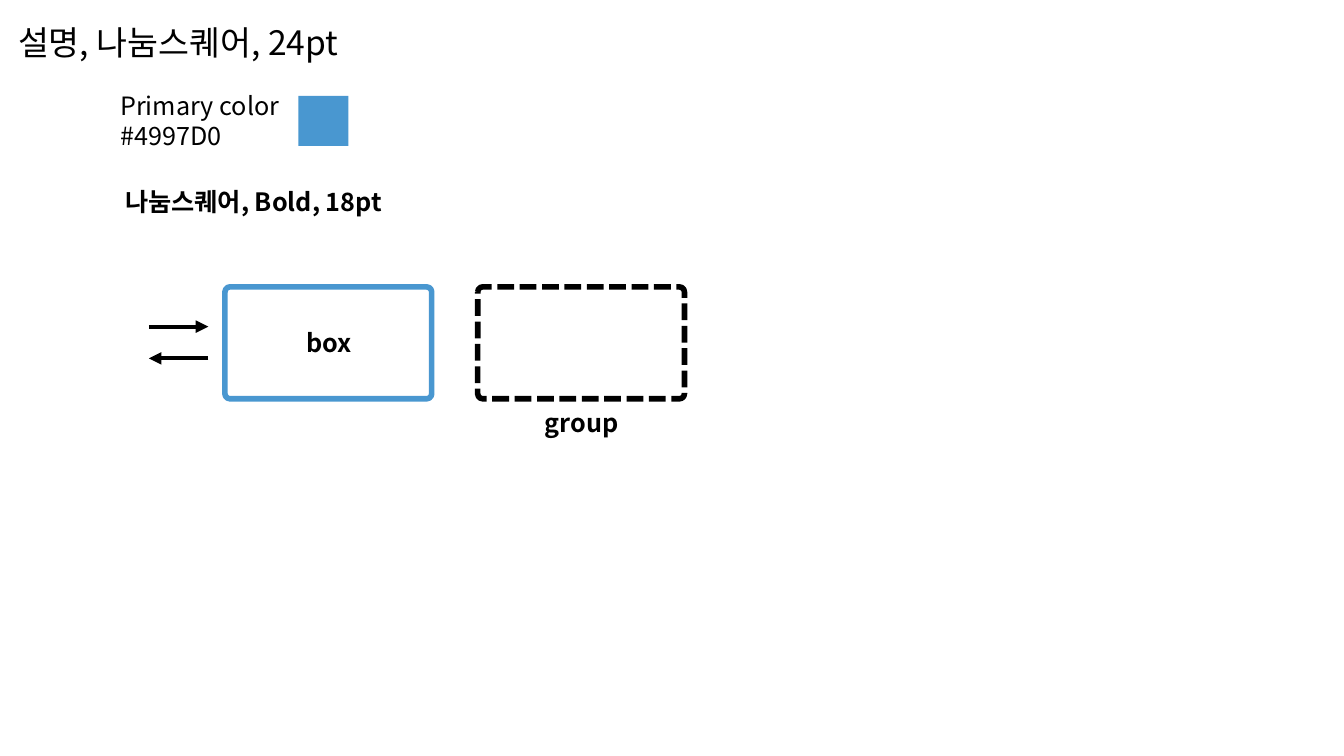
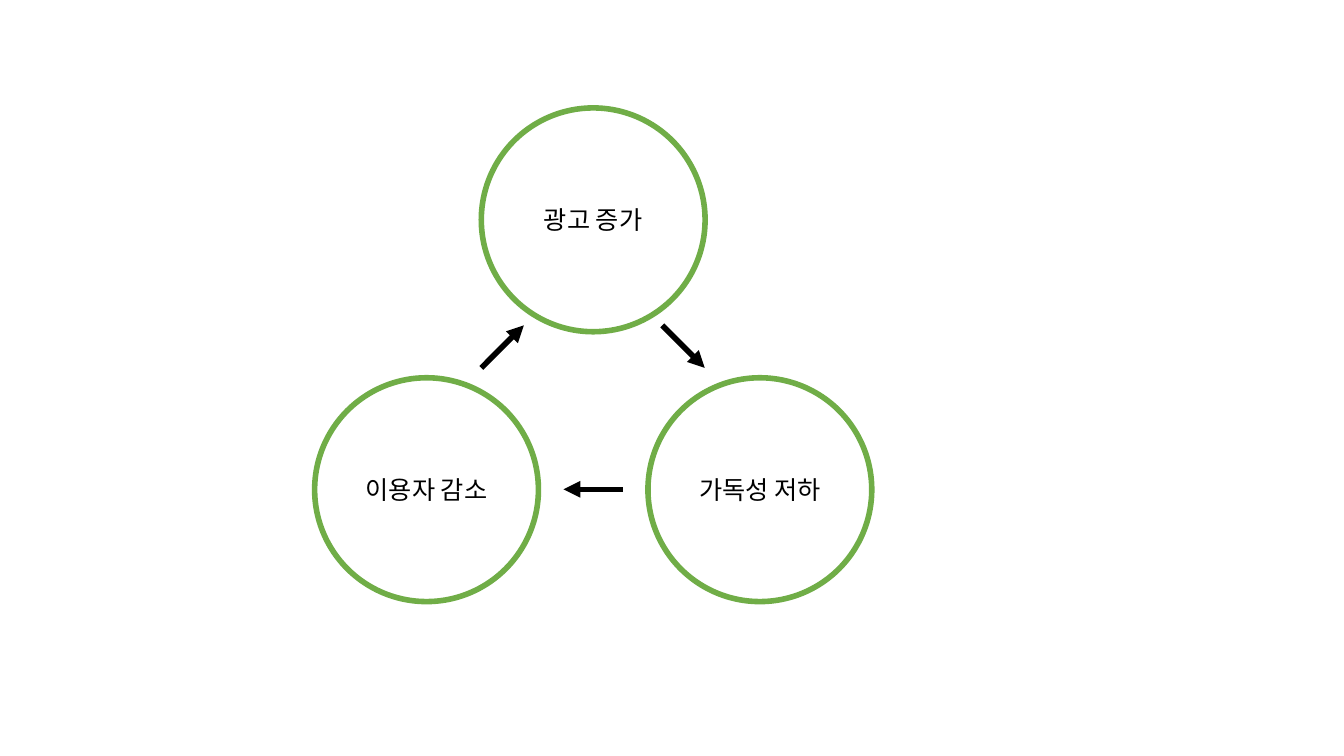
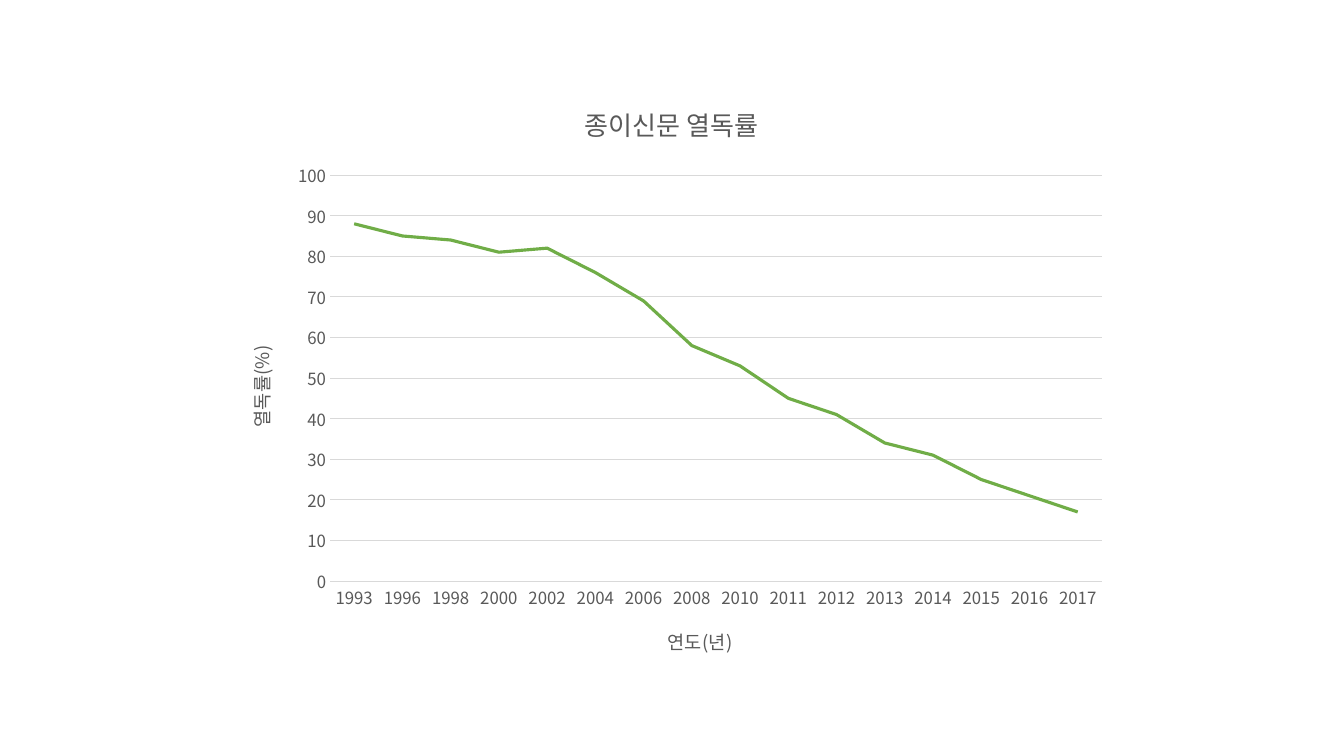
"""Build a style guide, a cycle diagram and a line chart of newspaper reading rates."""
from lxml import etree
from pptx import Presentation
from pptx.chart.data import CategoryChartData
from pptx.dml.color import RGBColor
from pptx.enum import chart as charts, dml, shapes, text
from pptx.oxml.ns import qn
from pptx.util import Cm, Pt

FONT = "Noto Sans CJK KR"
BLACK = RGBColor(0x00, 0x00, 0x00)
WHITE = RGBColor(0xFF, 0xFF, 0xFF)
BLUE = RGBColor(0x49, 0x97, 0xD0)
GREEN = RGBColor(0x70, 0xAD, 0x47)
GRAY = RGBColor(0x59, 0x59, 0x59)
LIGHT_GRAY = RGBColor(0xD9, 0xD9, 0xD9)
LEFT, CENTER = text.PP_ALIGN.LEFT, text.PP_ALIGN.CENTER
TOP, MIDDLE = text.MSO_ANCHOR.TOP, text.MSO_ANCHOR.MIDDLE


def write(frame, content, size=18, color=BLACK, bold=False, align=CENTER):
    for index, line in enumerate(content.split("\n")):
        para = frame.add_paragraph() if index else frame.paragraphs[0]
        para.alignment = align
        span = para.add_run()
        span.text = line
        span.font.size, span.font.bold = Pt(size), bold
        span.font.color.rgb = color
        span.font.name = FONT
        etree.SubElement(span._r.get_or_add_rPr(), qn("a:ea"), typeface=FONT)


def draw(parent, kind, left, top, width, height, fill=WHITE, line=None):
    box = parent.add_shape(kind, Cm(left), Cm(top), Cm(width), Cm(height))
    box.shadow.inherit = False
    box.fill.solid()
    box.fill.fore_color.rgb = fill
    if line is None:
        box.line.fill.background()
    else:
        box.line.color.rgb = line
        box.line.width = Pt(4)
    return box


deck = Presentation()
deck.slide_width, deck.slide_height = Cm(33.87), Cm(19.05)
title_only, blank = deck.slide_layouts[5], deck.slide_layouts[6]

guide = deck.slides.add_slide(title_only)
title = guide.shapes.title
title.left, title.top, title.width, title.height = Cm(0.2), Cm(0.43), Cm(9.6), Cm(1.28)
title.text_frame.auto_size = text.MSO_AUTO_SIZE.NONE
title.text_frame.vertical_anchor = TOP
write(title.text_frame, "설명, 나눔스퀘어, 24pt", size=24, align=LEFT)

draw(guide.shapes, shapes.MSO_SHAPE.RECTANGLE, 7.52, 2.42, 1.26, 1.26, fill=BLUE)
box_group = guide.shapes.add_group_shape()
for parent, left, color in ((box_group.shapes, 5.67, BLUE), (guide.shapes, 12.04, BLACK)):
    frame_box = draw(parent, shapes.MSO_SHAPE.ROUNDED_RECTANGLE, left, 7.23, 5.21, 2.82, line=color)
    frame_box.adjustments[0] = 0.045
frame_box.line.dash_style = dml.MSO_LINE.SQUARE_DOT

labels = (
    (guide.shapes, "Primary color\n#4997D0", 2.78, 2.15, 5.36, 1.8, False, LEFT, TOP),
    (guide.shapes, "나눔스퀘어, Bold, 18pt", 2.77, 4.57, 7.24, 1.03, True, CENTER, TOP),
    (box_group.shapes, "box", 6.83, 8.12, 2.92, 1.03, True, CENTER, MIDDLE),
    (guide.shapes, "group", 13.2, 10.12, 2.92, 1.03, True, CENTER, MIDDLE),
)
for parent, content, left, top, width, height, bold, align, anchor in labels:
    label = parent.add_textbox(Cm(left), Cm(top), Cm(width), Cm(height))
    label.text_frame.word_wrap = True
    label.text_frame.vertical_anchor = anchor
    write(label.text_frame, content, bold=bold, align=align)

cycle = deck.slides.add_slide(blank)
for content, left, top in (("이용자 감소", 7.93, 9.52), ("광고 증가", 12.13, 2.72), ("가독성 저하", 16.33, 9.52)):
    circle = draw(cycle.shapes, shapes.MSO_SHAPE.OVAL, left, top, 5.64, 5.64, line=GREEN)
    circle.text_frame.vertical_anchor = MIDDLE
    write(circle.text_frame, content)

arrows = (
    (guide, 3, 3.75, 8.23, 5.25, 8.23),
    (guide, 3, 5.25, 9.03, 3.75, 9.03),
    (cycle, 4, 16.69, 8.2, 17.76, 9.27),
    (cycle, 4, 15.7, 12.33, 14.2, 12.33),
    (cycle, 4, 12.13, 9.27, 13.2, 8.2),
)
for page, width, *ends in arrows:
    arrow = page.shapes.add_connector(shapes.MSO_CONNECTOR.STRAIGHT, *map(Cm, ends))
    arrow.line.color.rgb = BLACK
    arrow.line.width = Pt(width)
    etree.SubElement(arrow.line._get_or_add_ln(), qn("a:tailEnd"), type="triangle")
    etree.SubElement(arrow._element.spPr, qn("a:effectLst"))

trend = deck.slides.add_slide(blank)
rates = CategoryChartData()
rates.categories = ["1993", "1996", "1998", "2000", "2002", "2004", "2006", "2008",
                    "2010", "2011", "2012", "2013", "2014", "2015", "2016", "2017"]
rates.add_series("Series 1", (88, 85, 84, 81, 82, 76, 69, 58, 53, 45, 41, 34, 31, 25, 21, 17))
chart = trend.shapes.add_chart(charts.XL_CHART_TYPE.LINE, Cm(5.64), Cm(2.01),
                               Cm(22.58), Cm(15.06), rates).chart
chart.has_legend = False
chart.font.name, chart.font.size = FONT, Pt(10)
chart.font.color.rgb = BLACK
write(chart.chart_title.text_frame, "종이신문 열독률", size=18.6, color=GRAY)

years, percents = chart.category_axis, chart.value_axis
for axis, content in ((years, "연도(년)"), (percents, "열독률(%)")):
    write(axis.axis_title.text_frame, content, size=13.3, color=GRAY)
    axis.major_tick_mark = axis.minor_tick_mark = charts.XL_TICK_MARK.NONE
    axis.tick_labels.font.name = FONT
    axis.tick_labels.font.size = Pt(12)
    axis.tick_labels.font.color.rgb = GRAY
percents.minimum_scale, percents.maximum_scale, percents.major_unit = 0, 100, 10
percents.format.line.fill.background()
for rule in (years.format.line, percents.major_gridlines.format.line):
    rule.color.rgb = LIGHT_GRAY
    rule.width = Pt(0.75)

plot = chart.plots[0]
plot.vary_by_categories = False
series = plot.series[0]
series.smooth = False
series.format.line.color.rgb = GREEN
series.format.line.width = Pt(2.25)

deck.save("out.pptx")
